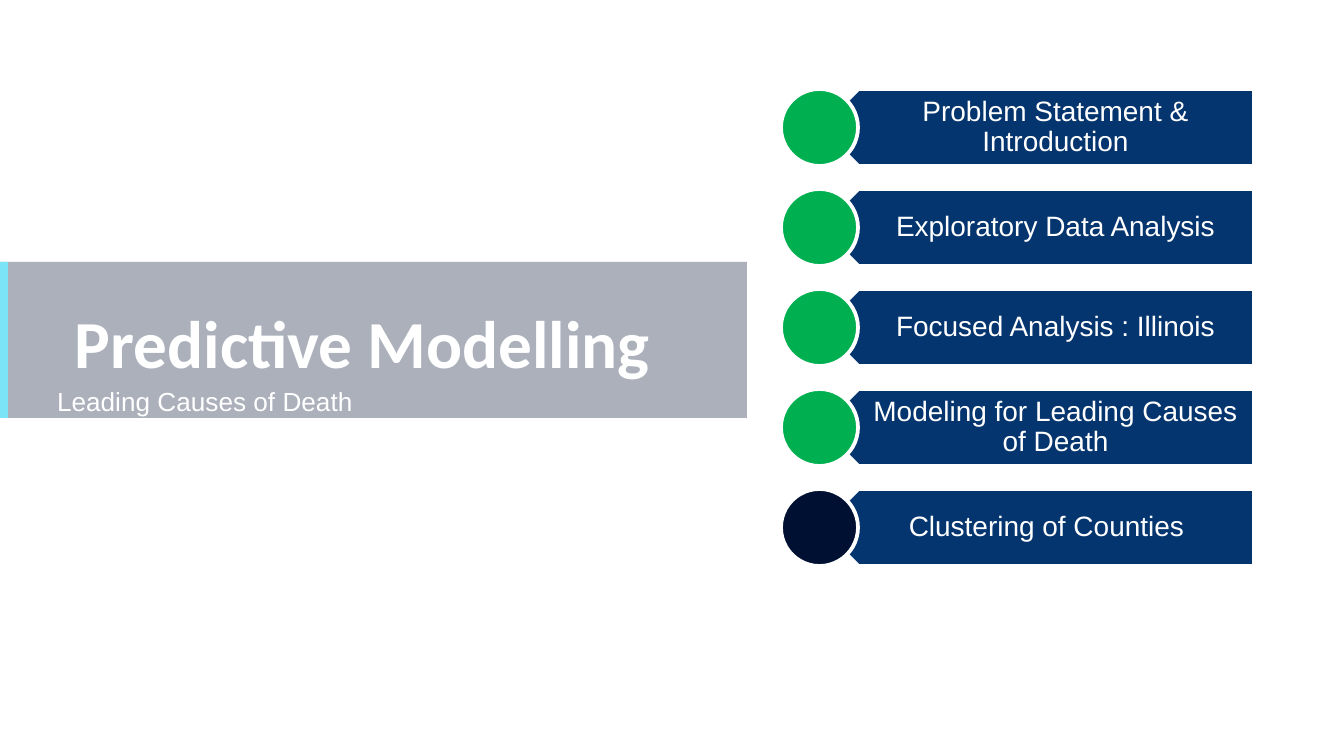
from lxml.etree import SubElement, fromstring
from pptx import Presentation
from pptx.dml.color import RGBColor
from pptx.enum.shapes import MSO_SHAPE
from pptx.enum.text import MSO_ANCHOR, MSO_AUTO_SIZE, PP_ALIGN
from pptx.oxml.ns import nsdecls, qn
from pptx.util import Pt

PX = 914400 / 134.4  # EMU in one px

COLORS = {
    "white": "FFFFFF",
    "navy": "001033",
    "blue": "05356E",
    "cyan": "7BE4F7",
    "green": "00B050",
}

# Topic, marker colour, right inset
STEPS = [
    ("Problem Statement & Introduction", "green", 16),
    ("Exploratory Data Analysis", "green", 16),
    ("Focused Analysis : Illinois", "green", 16),
    ("Modeling for Leading Causes of Death", "green", 16),
    ("Clustering of Counties", "navy", 34),
]
TOP, PITCH, SIZE = 89, 100, 77

TITLE = {"name": "Calibri", "size": Pt(36), "bold": True}
SUB = {"name": "Arial", "size": Pt(14)}
LABEL = {"name": "Arial", "size": Pt(15)}


def px(n):
    return round(n * PX)


def rgb(name):
    return RGBColor.from_string(COLORS[name])


def apply(target, values):
    for key, value in values.items():
        setattr(target, key, value)


def place(shape, left, top, width, height):
    box = {"left": left, "top": top, "width": width, "height": height}
    apply(shape, {key: px(n) for key, n in box.items()})


def add_form(slide, kind, box, color, edge=None):
    form = slide.shapes.add_shape(kind, *map(px, box))
    form.shadow.inherit = False
    form.fill.solid()
    form.fill.fore_color.rgb = rgb(color)
    if edge:
        form.line.color.rgb = rgb(edge)
        form.line.width = Pt(2)
    else:
        form.line.fill.background()
    return form


def put_text(shape, text, font, align, insets, wrap=True,
             anchor=MSO_ANCHOR.MIDDLE, space=0.9):
    frame = shape.text_frame
    sides = ("margin_left", "margin_top", "margin_right", "margin_bottom")
    apply(frame, dict(zip(sides, map(px, insets))))
    apply(frame, {"word_wrap": wrap, "vertical_anchor": anchor,
                  "auto_size": MSO_AUTO_SIZE.NONE})
    para = frame.paragraphs[0]
    apply(para, {"alignment": align, "line_spacing": space,
                 "space_before": Pt(0)})
    run = para.add_run()
    run.text = text
    apply(run.font, font)
    run.font.color.rgb = rgb("white")
    return run


def add_glow(run):
    """Give the text a soft drop shadow."""
    fill = run.font._element.find(qn("a:solidFill"))
    fill.addnext(fromstring(
        f'<a:effectLst {nsdecls("a")}>'
        '<a:outerShdw blurRad="38100" dist="38100" dir="2700000" algn="tl">'
        '<a:srgbClr val="000000"><a:alpha val="43000"/></a:srgbClr>'
        '</a:outerShdw></a:effectLst>'))


def add_band(slide):
    """Pale band and accent, set behind the title."""
    band = add_form(slide, MSO_SHAPE.RECTANGLE, (0, 262, 747, 156), "navy")
    tint = band._element.spPr.find(qn("a:solidFill"))[0]
    SubElement(tint, qn("a:alpha"), val="33000")
    mark = add_form(slide, MSO_SHAPE.RECTANGLE, (0, 262, 8, 156), "cyan")
    tree = slide.shapes._spTree
    for spot, form in enumerate((band, mark), 2):
        tree.insert(spot, form._element)


def add_heads(slide):
    title, sub = slide.shapes.title, slide.placeholders[1]
    place(title, 75, 298, 1192, 97)
    run = put_text(title, "Predictive Modelling", TITLE, PP_ALIGN.LEFT,
                   (0, 0, 0, 0))
    add_glow(run)
    place(sub, 44, 378, 324, 46)
    put_text(sub, "Leading Causes of Death", SUB, PP_ALIGN.LEFT,
             (13, 7, 13, 7), False, MSO_ANCHOR.TOP, 1.0)


def add_step(slide, row, text, color, inset):
    top = TOP + row * PITCH
    plate = add_form(slide, MSO_SHAPE.PENTAGON, (820, top, 434, SIZE),
                     "blue", "white")
    plate.rotation = 180
    label = slide.shapes.add_textbox(*map(px, (839, top, 415, SIZE)))
    put_text(label, text, LABEL, PP_ALIGN.CENTER, (34, 8, inset, 8))
    add_form(slide, MSO_SHAPE.OVAL, (781, top, SIZE, SIZE), color, "white")


def main():
    deck = Presentation()
    apply(deck, {"slide_width": px(1344), "slide_height": px(756)})
    slide = deck.slides.add_slide(deck.slide_layouts[0])
    # Title side
    add_band(slide)
    add_heads(slide)
    # Agenda side
    for row, step in enumerate(STEPS):
        add_step(slide, row, *step)
    deck.save("out.pptx")


if __name__ == "__main__":
    main()
